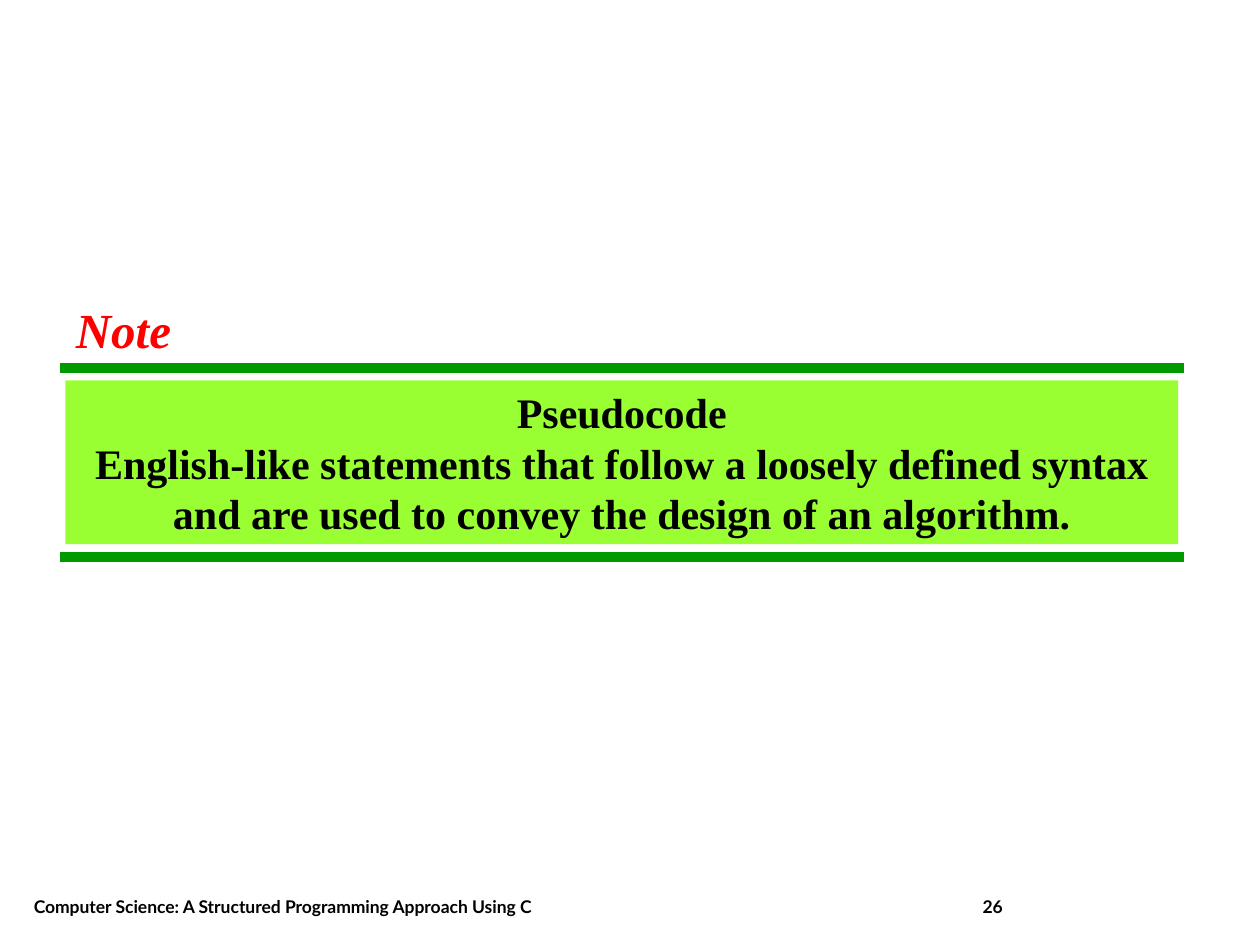
from dataclasses import dataclass

from lxml import etree
from pptx import Presentation
from pptx.dml.color import RGBColor
from pptx.enum.shapes import MSO_CONNECTOR, MSO_SHAPE
from pptx.enum.text import MSO_ANCHOR, MSO_AUTO_SIZE, PP_ALIGN
from pptx.oxml.ns import qn
from pptx.util import Inches, Pt

LEFT, CENTER = PP_ALIGN.LEFT, PP_ALIGN.CENTER
TOP, BOTTOM = MSO_ANCHOR.TOP, MSO_ANCHOR.BOTTOM
GROW = MSO_AUTO_SIZE.SHAPE_TO_FIT_TEXT
NONE = MSO_AUTO_SIZE.NONE
RECT = MSO_SHAPE.RECTANGLE
STRAIGHT = MSO_CONNECTOR.STRAIGHT


@dataclass(frozen=True)
class Theme:
    black: RGBColor = RGBColor(0, 0, 0)
    red: RGBColor = RGBColor(255, 0, 0)
    lime: RGBColor = RGBColor(0x99, 0xFF, 0x33)
    green: RGBColor = RGBColor(0, 0x99, 0)
    serif: str = "Times New Roman"
    sans: str = "Lato"
    small: Pt = Pt(10)
    body: Pt = Pt(24)
    head: Pt = Pt(28)
    rule: Pt = Pt(6)


THEME = Theme()
FOOT = {"name": THEME.sans, "size": THEME.small, "bold": True}
BODY = {"name": THEME.serif, "size": THEME.body, "bold": True}
HEAD = {"name": THEME.serif, "size": THEME.head, "bold": True, "italic": True}


def write(shape, lines, font, color, align, frame):
    text = shape.text_frame
    for key, value in frame.items():
        setattr(text, key, value)
    text.text = "\n".join(lines)
    for para in text.paragraphs:
        para.alignment = align
        for run in para.runs:
            for key, value in font.items():
                setattr(run.font, key, value)
            run.font.color.rgb = color


def add_label(slide, box, line, font, color, align, frame):
    label = slide.shapes.add_textbox(*map(Inches, box))
    write(label, [line], font, color, align, frame)


def add_foot(slide, left, width, line):
    frame = {"word_wrap": True, "auto_size": NONE, "vertical_anchor": BOTTOM}
    add_label(slide, (left, 6.83, width, 0.5), line, FOOT,
              THEME.black, LEFT, frame)


def add_rule(slide, top):
    rule = slide.shapes.add_connector(
        STRAIGHT, *map(Inches, (0.48, top, 9.4, top)))
    rule.line.color.rgb = THEME.green
    rule.line.width = THEME.rule
    etree.SubElement(rule.element.spPr, qn("a:effectLst"))


def add_panel(slide, box, lines):
    panel = slide.shapes.add_shape(RECT, *map(Inches, box))
    panel.shadow.inherit = False
    panel.fill.solid()
    panel.fill.fore_color.rgb = THEME.lime
    panel.line.fill.background()
    frame = {"word_wrap": True, "auto_size": GROW, "vertical_anchor": TOP}
    write(panel, lines, BODY, THEME.black, CENTER, frame)


def main():
    deck = Presentation()
    deck.slide_width, deck.slide_height = Inches(10), Inches(7.5)
    slide = deck.slides.add_slide(deck.slide_layouts[6])
    add_foot(slide, 0.17, 5.67,
             "Computer Science: A Structured Programming Approach Using C")
    add_foot(slide, 7.7, 2.08, "26")
    for top in (2.92, 4.42):
        add_rule(slide, top)
    add_panel(slide, (0.52, 3.02, 8.83, 1.3), [
        "Pseudocode",
        "English-like statements that follow a loosely defined syntax "
        "and are used to convey the design of an algorithm.",
    ])
    add_label(slide, (0.5, 2.33, 0.96, 0.57), "Note", HEAD, THEME.red,
              CENTER, {"word_wrap": False, "auto_size": GROW})
    deck.save("out.pptx")


if __name__ == "__main__":
    main()
